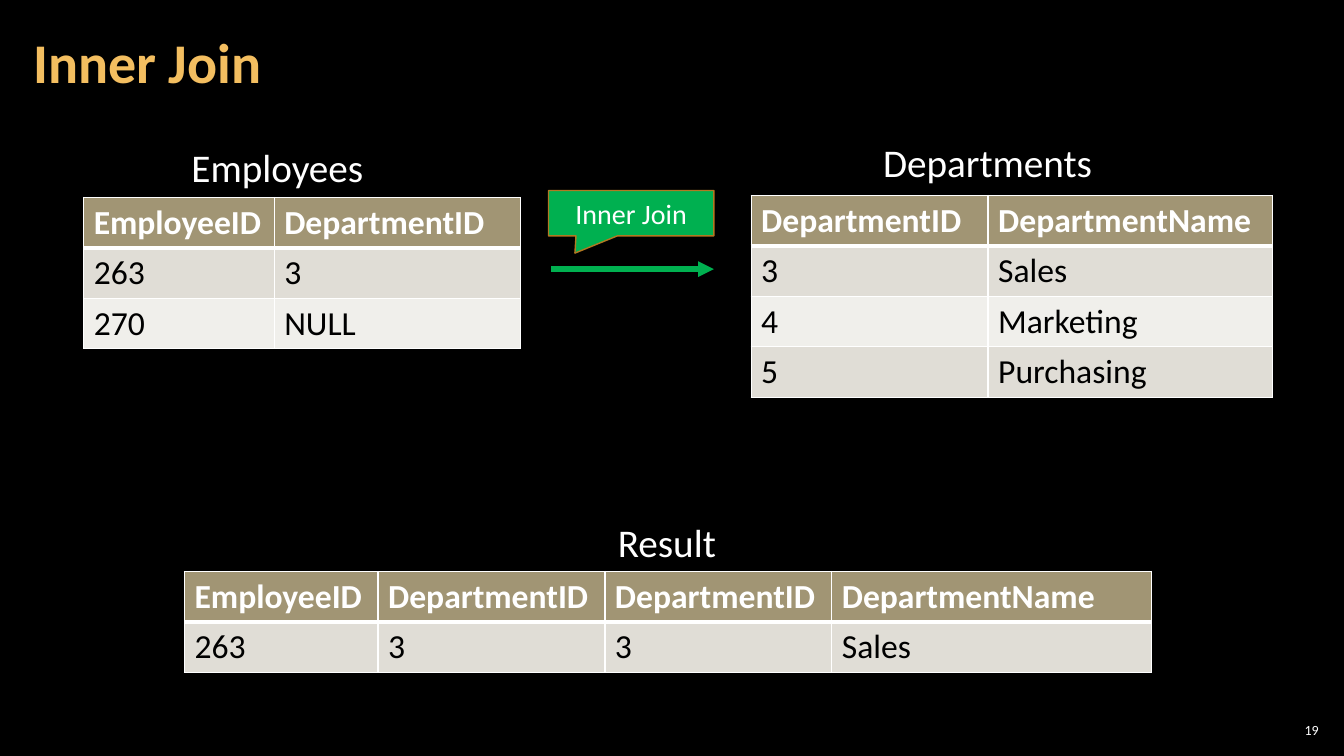
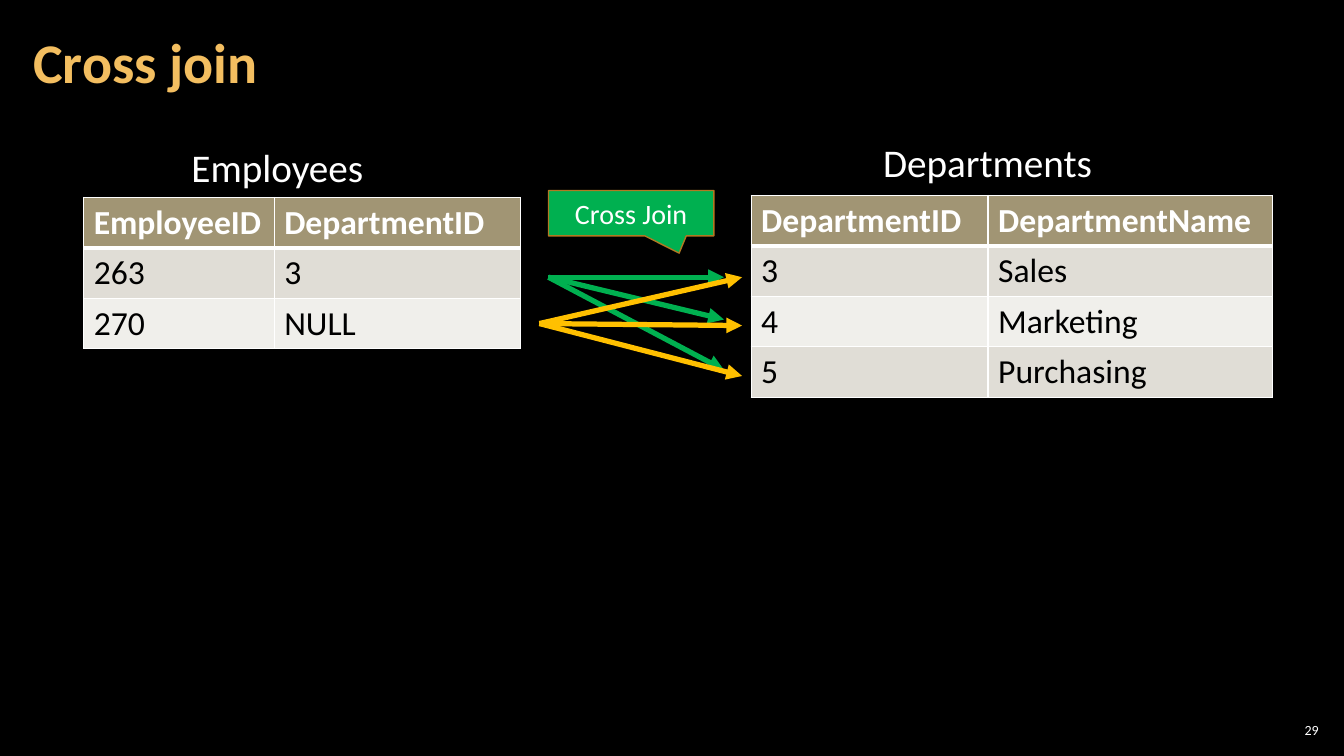
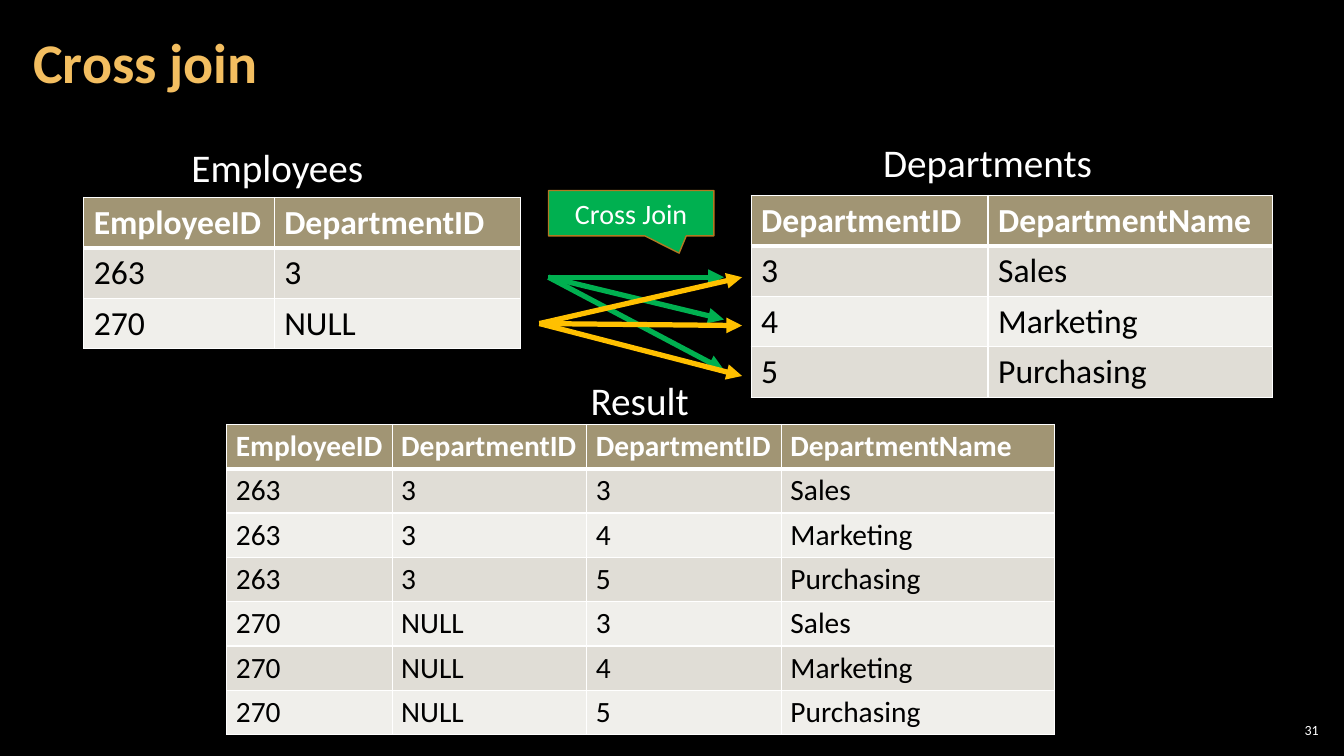
from lxml.etree import SubElement as Sub
from pptx import Presentation
from pptx.dml.color import RGBColor
from pptx.enum.shapes import MSO_CONNECTOR as Line, MSO_SHAPE as Shape
from pptx.enum.text import MSO_ANCHOR as Anchor, MSO_AUTO_SIZE as Fit, PP_ALIGN as Align
from pptx.oxml.ns import qn
from pptx.util import Inches, Pt

FONT = "Calibri"
WHITE, BLACK, GOLD = "FFFFFF", "000000", "F3BE60"
GREEN, AMBER, RUST = "00B050", "FFC000", "B27822"
HEAD, BANDS = "A19574", ("E0DDD6", "F0EFEB")

STAFF = [("EmployeeID", "DepartmentID"), ("263", "3"), ("270", "NULL")]
UNITS = [("DepartmentID", "DepartmentName"), ("3", "Sales"),
         ("4", "Marketing"), ("5", "Purchasing")]
TOP = STAFF[0] + UNITS[0]
PAIRS = [man + unit for man in STAFF[1:] for unit in UNITS[1:]]
INNER = [TOP] + [row for row in PAIRS if row[1] == row[2]]
CROSS = [TOP] + PAIRS

MATCH = [(GREEN, (5.47, 2.67), (7.08, 2.67))]
FAN = [(GREEN, (5.44, 2.75), (7.18, y)) for y in (2.75, 3.17, 3.67)]
FAN += [(AMBER, (5.35, 3.21), (7.36, y)) for y in (2.75, 3.23, 3.73)]


def rgb(code):
    return RGBColor.from_string(code)


def put(frame, text, size=24, color=WHITE, bold=False, align=Align.LEFT,
        anchor=None, wrap=True, inset=None, space=None):
    """Write one formatted paragraph; inset is (side, top and bottom) in inches."""
    frame.word_wrap = wrap
    if anchor is not None:
        frame.vertical_anchor = anchor
    if inset:
        frame.margin_left = frame.margin_right = Inches(inset[0])
        frame.margin_top = frame.margin_bottom = Inches(inset[1])
    para = frame.paragraphs[0]
    para.alignment = align
    para.line_spacing = space
    run = para.add_run()
    run.text = text
    font = run.font
    font.name, font.size, font.bold = FONT, Pt(size), bold
    font.color.rgb = rgb(color)


def edge(cell, **widths):
    """Draw white cell borders; call it before the cell is filled."""
    props = cell._tc.get_or_add_tcPr()
    for side in "LRTB":
        rule = Sub(props, qn("a:ln" + side), w=str(Pt(widths.get(side, 1))))
        fill = Sub(rule, qn("a:solidFill"))
        Sub(fill, qn("a:srgbClr"), val=WHITE)


class Deck:
    """Holds the shared style and the slide being built."""

    def __init__(self):
        self.show = Presentation()
        self.show.slide_width = Inches(13.33)
        self.show.slide_height = Inches(7.5)
        fill = self.show.slide_master.background.fill
        fill.solid()
        fill.fore_color.rgb = rgb(BLACK)

    def start(self, title, page):
        slide = self.show.slides.add_slide(self.show.slide_layouts[5])
        self.shapes = slide.shapes
        head = self.shapes.title
        head.left, head.top = Inches(0.21), Inches(0.04)
        head.width, head.height = Inches(10.47), Inches(1.21)
        head.text_frame.auto_size = Fit.NONE
        put(head.text_frame, title, size=40, color=GOLD, bold=True,
            anchor=Anchor.MIDDLE, inset=(0.12, 0.04), space=0.9)
        self.text(page, 12.65, 7.14, 0.47, 0.21, size=10, align=Align.RIGHT,
                  anchor=Anchor.MIDDLE, inset=(0.04, 0.04))

    def text(self, words, x, y, w, h, **form):
        box = self.shapes.add_textbox(Inches(x), Inches(y), Inches(w), Inches(h))
        put(box.text_frame, words, **form)
        return box

    def label(self, words, x, y, w):
        box = self.text(words, x, y, w, 0.57, size=28, wrap=False)
        box.text_frame.auto_size = Fit.SHAPE_TO_FIT_TEXT

    def table(self, rows, x, y, cols, high=0.5, size=24, inset=(0.1, 0.05)):
        grid = self.shapes.add_table(
            len(rows), len(cols), Inches(x), Inches(y),
            Inches(sum(cols)), Inches(high * len(rows))).table
        grid.horz_banding = False
        for col, wide in zip(grid.columns, cols):
            col.width = Inches(wide)
        for i, row in enumerate(rows):
            grid.rows[i].height = Inches(high)
            for j, words in enumerate(row):
                cell = grid.cell(i, j)
                edge(cell, T=3 if i == 1 else 1, B=1 if i else 3)
                cell.fill.solid()
                cell.fill.fore_color.rgb = rgb(BANDS[(i - 1) % 2] if i else HEAD)
                cell.margin_left = cell.margin_right = Inches(inset[0])
                cell.margin_top = cell.margin_bottom = Inches(inset[1])
                put(cell.text_frame, words, size=size, bold=i == 0,
                    color=BLACK if i else WHITE)

    def callout(self, words, tip):
        """Draw the green callout; tip is how far its point lies from the middle."""
        box = self.shapes.add_shape(Shape.RECTANGULAR_CALLOUT, Inches(5.44),
                                    Inches(1.89), Inches(1.64), Inches(0.45))
        box.shadow.inherit = False
        box.adjustments[0], box.adjustments[1] = tip, 0.88
        box.fill.solid()
        box.fill.fore_color.rgb = rgb(GREEN)
        box.line.color.rgb = rgb(RUST)
        box.line.width = Pt(1)
        put(box.text_frame, words, size=20, align=Align.CENTER,
            anchor=Anchor.MIDDLE)

    def arrow(self, color, start, end):
        line = self.shapes.add_connector(
            Line.STRAIGHT, *(Inches(n) for n in start + end))
        line.line.color.rgb = rgb(color)
        line.line.width = Pt(3.75)
        props = line._element.spPr
        Sub(props.find(qn("a:ln")), qn("a:tailEnd"), type="triangle")
        Sub(props, qn("a:effectLst"))

    def join(self, title, page, name, tip, arrows):
        """Start a slide with both source tables and the arrows between them."""
        self.start(title, page)
        self.label("Employees", 1.8, 1.37, 1.92)
        self.table(STAFF, 0.83, 1.96, (1.89, 2.44))
        self.label("Departments", 8.66, 1.32, 2.3)
        self.table(UNITS, 7.45, 1.94, (2.35, 2.82))
        self.callout(name, tip)
        for arrow in arrows:
            self.arrow(*arrow)


def main():
    deck = Deck()
    deck.join("Inner Join", "19", "Inner Join", -0.34, MATCH)
    deck.label("Result", 6.03, 5.09, 1.19)
    deck.table(INNER, 1.83, 5.67, (1.92, 2.25, 2.25, 3.17))

    for page in ("29", "31"):
        deck.join("Cross join", page, "Cross Join", 0.29, FAN)
    deck.label("Result", 5.76, 3.68, 1.19)
    deck.table(CROSS, 2.25, 4.21, (1.64, 1.93, 1.93, 2.71),
               high=0.44, size=21, inset=(0.09, 0.04))
    deck.show.save("out.pptx")


if __name__ == "__main__":
    main()
